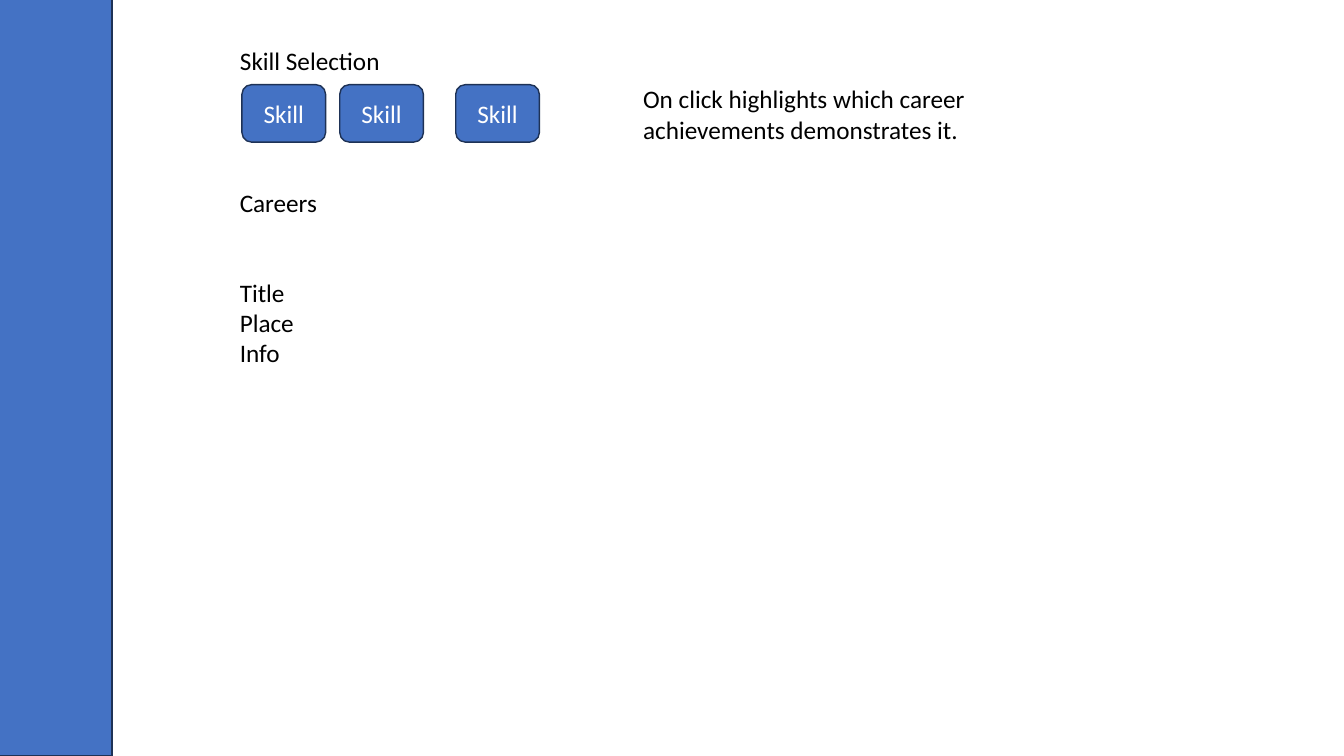
from dataclasses import dataclass

from pptx import Presentation
from pptx.dml.color import RGBColor
from pptx.enum.shapes import MSO_SHAPE
from pptx.enum.text import MSO_ANCHOR, MSO_AUTO_SIZE, PP_ALIGN
from pptx.shapes.autoshape import Shape
from pptx.slide import Slide
from pptx.util import Inches, Pt

BLUE = RGBColor(0x44, 0x72, 0xC4)
NAVY = RGBColor(0x1E, 0x32, 0x56)
BLACK = RGBColor(0, 0, 0)
WHITE = RGBColor(0xFF, 0xFF, 0xFF)

FONT = {"name": "Calibri", "size": Pt(18)}
LABEL_FRAME = {
    "word_wrap": True,
    "auto_size": MSO_AUTO_SIZE.SHAPE_TO_FIT_TEXT,
    "vertical_anchor": MSO_ANCHOR.TOP,
}
BUTTON_FRAME = {"word_wrap": True, "vertical_anchor": MSO_ANCHOR.MIDDLE}


@dataclass(frozen=True)
class Box:
    left: float
    top: float
    width: float
    height: float

    def lengths(self) -> list[int]:
        return [Inches(v) for v in (self.left, self.top, self.width, self.height)]


@dataclass(frozen=True)
class Label:
    box: Box
    lines: tuple[str, ...]


TITLE = Label(Box(2.28, 0.4, 7.33, 0.4), ("Skill Selection",))
LABELS = (
    Label(Box(2.28, 1.81, 7.33, 0.4), ("Careers",)),
    Label(Box(2.28, 2.7, 7.33, 1.01), ("Title", "Place", "Info")),
    Label(
        Box(6.28, 0.78, 4.16, 0.71),
        ("On click highlights which career achievements demonstrates it.",),
    ),
)
SIDEBAR = Box(-0.05, -0.09, 1.16, 7.59)
SKILL_LEFTS = (2.4, 3.37, 4.52)


def apply(target: object, values: dict[str, object]) -> None:
    """Set each attribute named in values on the target."""
    for name, value in values.items():
        setattr(target, name, value)


def write(sp: Shape, lines: tuple[str, ...], frame: dict[str, object],
          color: RGBColor, align: PP_ALIGN) -> None:
    tf = sp.text_frame
    tf.text = "\n".join(lines)
    apply(tf, frame)
    for p in tf.paragraphs:
        p.alignment = align
        for r in p.runs:
            apply(r.font, FONT)
            r.font.color.rgb = color


def place_title(s: Slide) -> None:
    sp = s.shapes.title
    apply(sp, dict(zip(("left", "top", "width", "height"), TITLE.box.lengths())))
    write(sp, TITLE.lines, LABEL_FRAME, BLACK, PP_ALIGN.LEFT)


def add_label(s: Slide, label: Label) -> None:
    sp = s.shapes.add_textbox(*label.box.lengths())
    write(sp, label.lines, LABEL_FRAME, BLACK, PP_ALIGN.LEFT)


def add_panel(s: Slide, kind: MSO_SHAPE, box: Box) -> Shape:
    sp = s.shapes.add_shape(kind, *box.lengths())
    sp.shadow.inherit = False
    sp.fill.solid()
    sp.fill.fore_color.rgb = BLUE
    sp.line.color.rgb = NAVY
    sp.line.width = Pt(1)
    return sp


def main() -> None:
    prs = Presentation()
    prs.slide_width, prs.slide_height = Inches(13.33), Inches(7.5)
    s = prs.slides.add_slide(prs.slide_layouts.get_by_name("Title Only"))

    add_panel(s, MSO_SHAPE.RECTANGLE, SIDEBAR)
    place_title(s)
    for label in LABELS:
        add_label(s, label)
    for left in SKILL_LEFTS:
        sp = add_panel(s, MSO_SHAPE.ROUNDED_RECTANGLE, Box(left, 0.84, 0.83, 0.57))
        write(sp, ("Skill",), BUTTON_FRAME, WHITE, PP_ALIGN.CENTER)

    prs.save("out.pptx")


if __name__ == "__main__":
    main()
